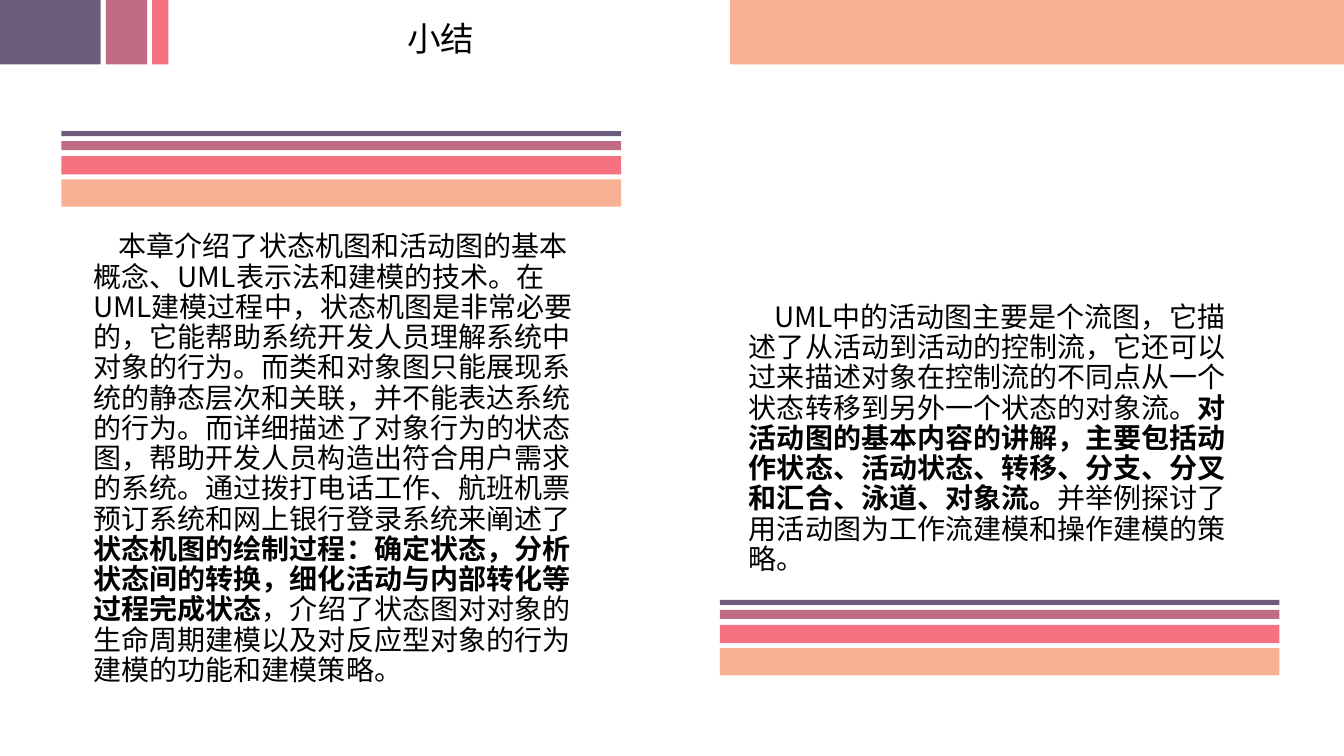
"""Build the chapter summary slide on state machine and activity diagrams."""
from lxml import etree
from pptx import Presentation
from pptx import util as u
from pptx.dml.color import RGBColor
from pptx.enum import shapes, text
from pptx.oxml import ns

PX = 9144
FONT = "Noto Sans CJK SC"
BLACK = RGBColor(0x00, 0x00, 0x00)
PURPLE = RGBColor(0x6C, 0x5B, 0x7B)
MAUVE = RGBColor(0xC0, 0x6C, 0x84)
CORAL = RGBColor(0xF6, 0x72, 0x80)
PEACH = RGBColor(0xF8, 0xB1, 0x93)

deck = Presentation()
deck.slide_width, deck.slide_height = 1333 * PX, 750 * PX
slide = deck.slides.add_slide(deck.slide_layouts[6])


def add_bar(left, top, width, height, color):
    bar = slide.shapes.add_shape(
        shapes.MSO_SHAPE.RECTANGLE, left * PX, top * PX, width * PX, height * PX)
    bar.shadow.inherit = False
    bar.fill.solid()
    bar.fill.fore_color.rgb = color
    bar.line.fill.background()


def add_passage(left, top, width, height, size, parts, wrap):
    box = slide.shapes.add_textbox(left * PX, top * PX, width * PX, height * PX)
    frame = box.text_frame
    frame.word_wrap = wrap
    frame.auto_size = text.MSO_AUTO_SIZE.SHAPE_TO_FIT_TEXT
    paragraph = frame.paragraphs[0]
    for index, part in enumerate(parts):
        run = paragraph.add_run()
        run.text = part
        run.font.size = u.Pt(size)
        run.font.bold = index == 1
        run.font.color.rgb = BLACK
        run.font.name = FONT
        east_asian = etree.SubElement(run.font._element, ns.qn("a:ea"))
        east_asian.set("typeface", FONT)
    return paragraph


for left, width, color in [(724, 609, PEACH), (0, 100, PURPLE),
                           (105, 41, MAUVE), (151, 16, CORAL)]:
    add_bar(left, 0, width, 64, color)

add_passage(394, 13, 104, 50, 24, ["小结"], False)

for left, top in [(61, 130), (714, 595)]:
    for offset, height, color in [(0, 5, PURPLE), (10, 9, MAUVE),
                                  (25, 18, CORAL), (48, 27, PEACH)]:
        add_bar(left, top + offset, 555, height, color)

state_machine_summary = [
    "本章介绍了状态机图和活动图的基本概念、UML表示法和建模的技术。"
    "在UML建模过程中，状态机图是非常必要的，它能帮助系统开发人员理解系统中对象的行为。"
    "而类和对象图只能展现系统的静态层次和关联，并不能表达系统的行为。"
    "而详细描述了对象行为的状态图，帮助开发人员构造出符合用户需求的系统。"
    "通过拨打电话工作、航班机票预订系统和网上银行登录系统来阐述了",
    "状态机图的绘制过程：确定状态，分析状态间的转换，细化活动与内部转化等过程完成状态",
    "，介绍了状态图对对象的生命周期建模以及对反应型对象的行为建模的功能和建模策略。",
]
activity_summary = [
    "UML中的活动图主要是个流图，它描述了从活动到活动的控制流，"
    "它还可以过来描述对象在控制流的不同点从一个状态转移到另外一个状态的对象流。",
    "对活动图的基本内容的讲解，主要包括动作状态、活动状态、转移、分支、分叉和汇合、泳道、对象流。",
    "并举例探讨了用活动图为工作流建模和操作建模的策略。",
]
for left, top, height, parts in [(83, 226, 464, state_machine_summary),
                                 (733, 296, 310, activity_summary)]:
    summary = add_passage(left, top, 517, height, 20, parts, True)
    summary.line_spacing = 0.9
    summary.space_before = u.Pt(10)
    summary._p.get_or_add_pPr().set("indent", str(25 * PX))

deck.save("out.pptx")
